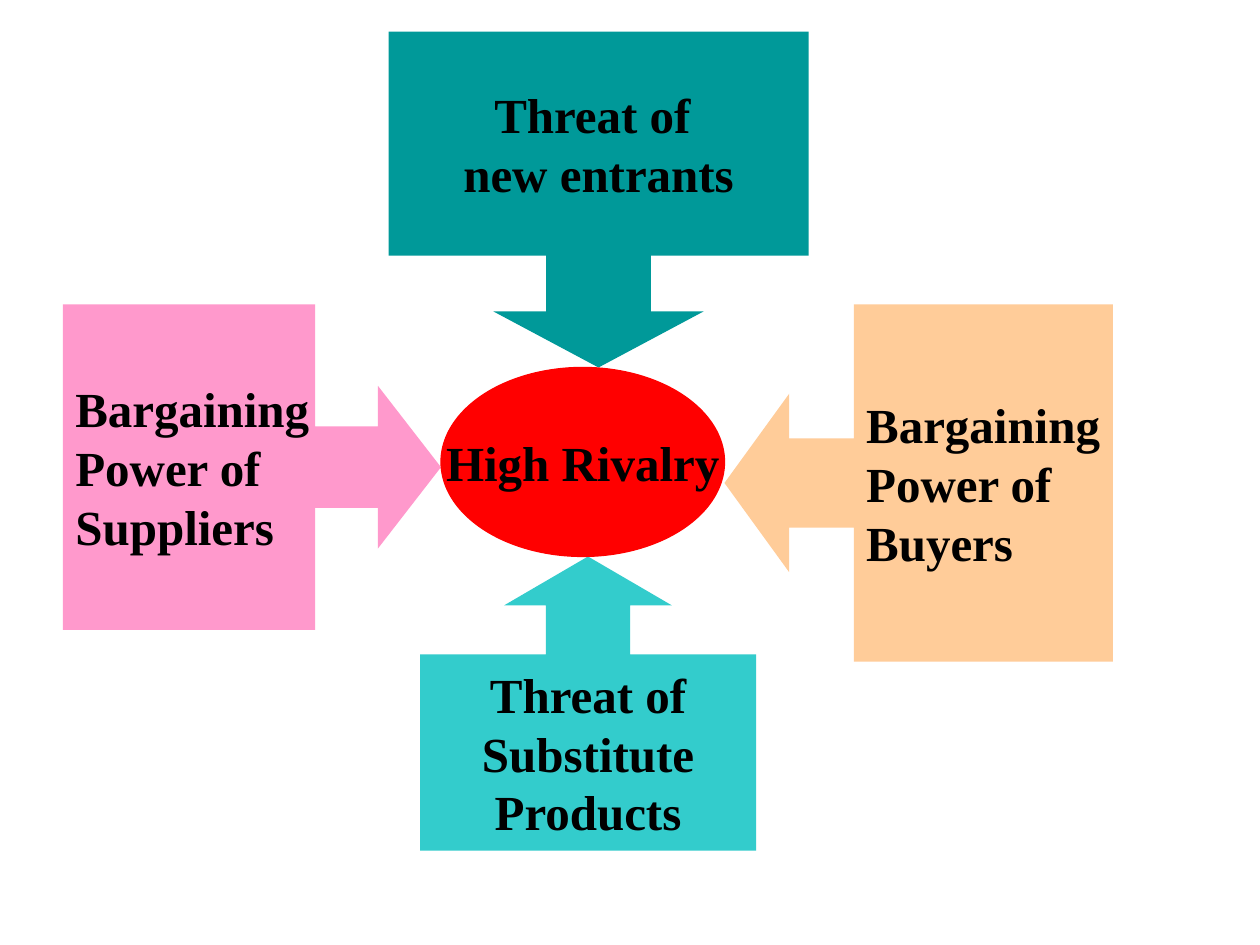
"""Build a five forces slide with four callouts around a central ellipse."""
from typing import NamedTuple

import pptx
import pptx.dml.color
import pptx.enum.shapes
import pptx.enum.text
import pptx.util

Pt = pptx.util.Pt
RGBColor = pptx.dml.color.RGBColor
SHAPE = pptx.enum.shapes.MSO_SHAPE
ALIGN = pptx.enum.text.PP_ALIGN

TEAL = RGBColor(0x00, 0x99, 0x99)
PINK = RGBColor(0xFF, 0x99, 0xCC)
PEACH = RGBColor(0xFF, 0xCC, 0x99)
TURQUOISE = RGBColor(0x33, 0xCC, 0xCC)
RED = RGBColor(0xFF, 0x00, 0x00)
BLACK = RGBColor(0x00, 0x00, 0x00)


class Force(NamedTuple):
    kind: SHAPE
    box: tuple[float, float, float, float]
    fill: RGBColor
    lines: tuple[str, ...]
    align: ALIGN = ALIGN.CENTER
    neck: float = 0
    head: float = 0
    outlined: bool = False


FORCES = [
    Force(SHAPE.DOWN_ARROW_CALLOUT, (222, 18, 240, 192), TEAL,
          ("Threat of ", "new entrants"), neck=60, head=32),
    Force(SHAPE.RIGHT_ARROW_CALLOUT, (36, 174, 216, 186), PINK,
          ("Bargaining", "Power of", "Suppliers"), ALIGN.LEFT, 46.5, 36),
    Force(SHAPE.LEFT_ARROW_CALLOUT, (414, 174, 222, 204), PEACH,
          ("Bargaining", "Power of", "Buyers"), ALIGN.LEFT, 51, 37),
    Force(SHAPE.UP_ARROW_CALLOUT, (240, 318, 192, 168), TURQUOISE,
          ("Threat of", "Substitute", "Products"), neck=48, head=28),
    Force(SHAPE.OVAL, (252, 210, 162, 108), RED, ("High Rivalry",), outlined=True),
]


def add_force(s: pptx.slide.Slide, force: Force) -> None:
    """Draw one force with its label."""
    sp = s.shapes.add_shape(force.kind, *map(Pt, force.box))
    sp.shadow.inherit = False
    sp.fill.solid()
    sp.fill.fore_color.rgb = force.fill
    if force.outlined:
        sp.line.color.rgb = force.fill
        sp.line.width = Pt(0.75)
    else:
        sp.line.fill.background()
    if force.neck:
        side = min(force.box[2:])
        ratios = (force.neck / side, force.neck / side, force.head / side, 0.667)
        for i, ratio in enumerate(ratios):
            sp.adjustments[i] = ratio
    tf = sp.text_frame
    tf.word_wrap = False
    tf.vertical_anchor = pptx.enum.text.MSO_ANCHOR.MIDDLE
    for i, line in enumerate(force.lines):
        p = tf.add_paragraph() if i else tf.paragraphs[0]
        p.alignment = force.align
        r = p.add_run()
        r.text = line
        r.font.name = "Times New Roman"
        r.font.size = Pt(28)
        r.font.bold = True
        r.font.color.rgb = BLACK


def main() -> None:
    """Build and save the slide."""
    prs = pptx.Presentation()
    prs.slide_width, prs.slide_height = Pt(720), Pt(540)
    s = prs.slides.add_slide(prs.slide_layouts.get_by_name("Blank"))
    for force in FORCES:
        add_force(s, force)
    prs.save("out.pptx")


if __name__ == "__main__":
    main()
